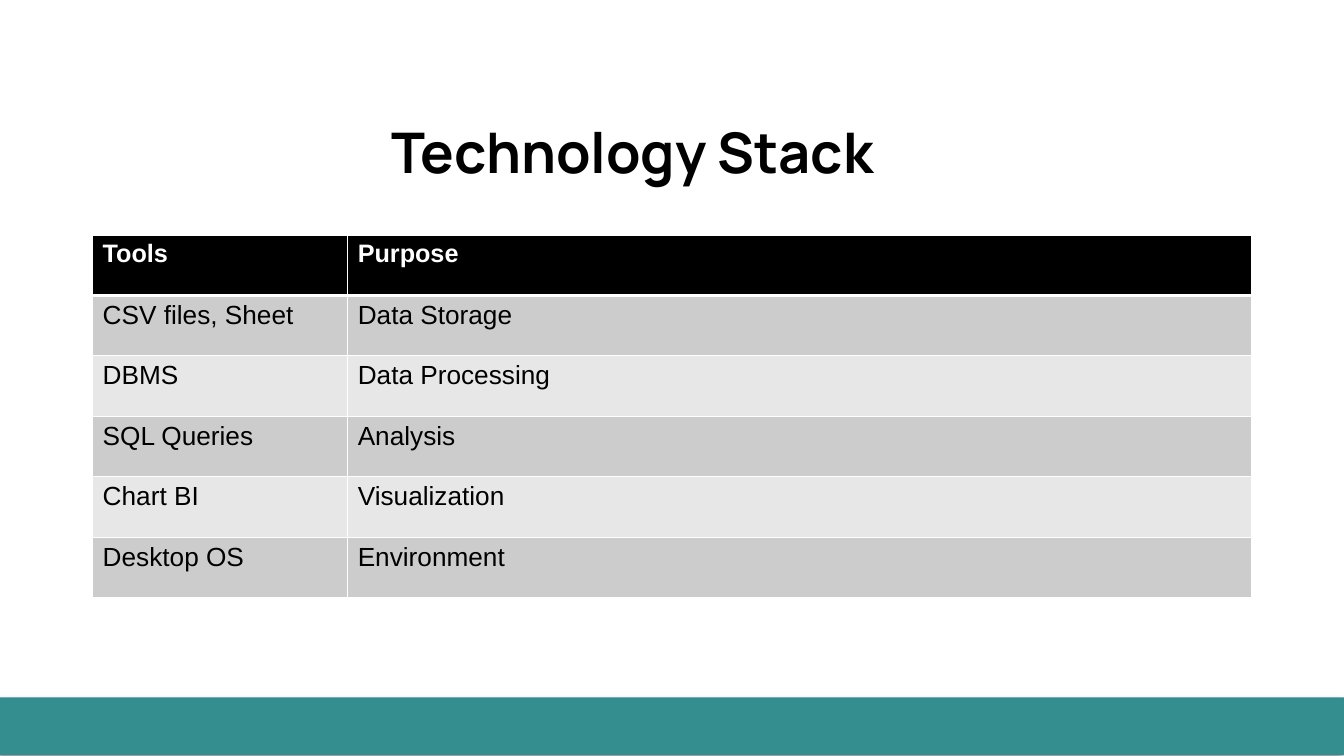
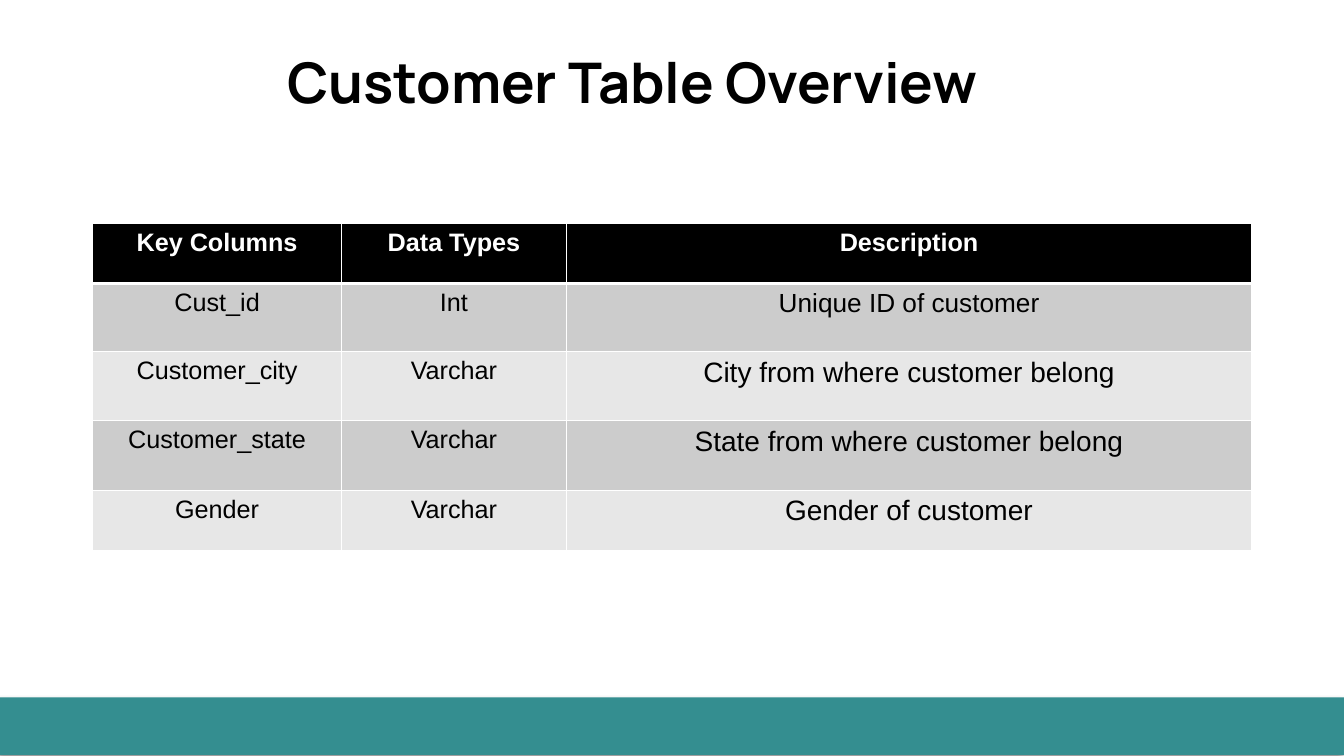
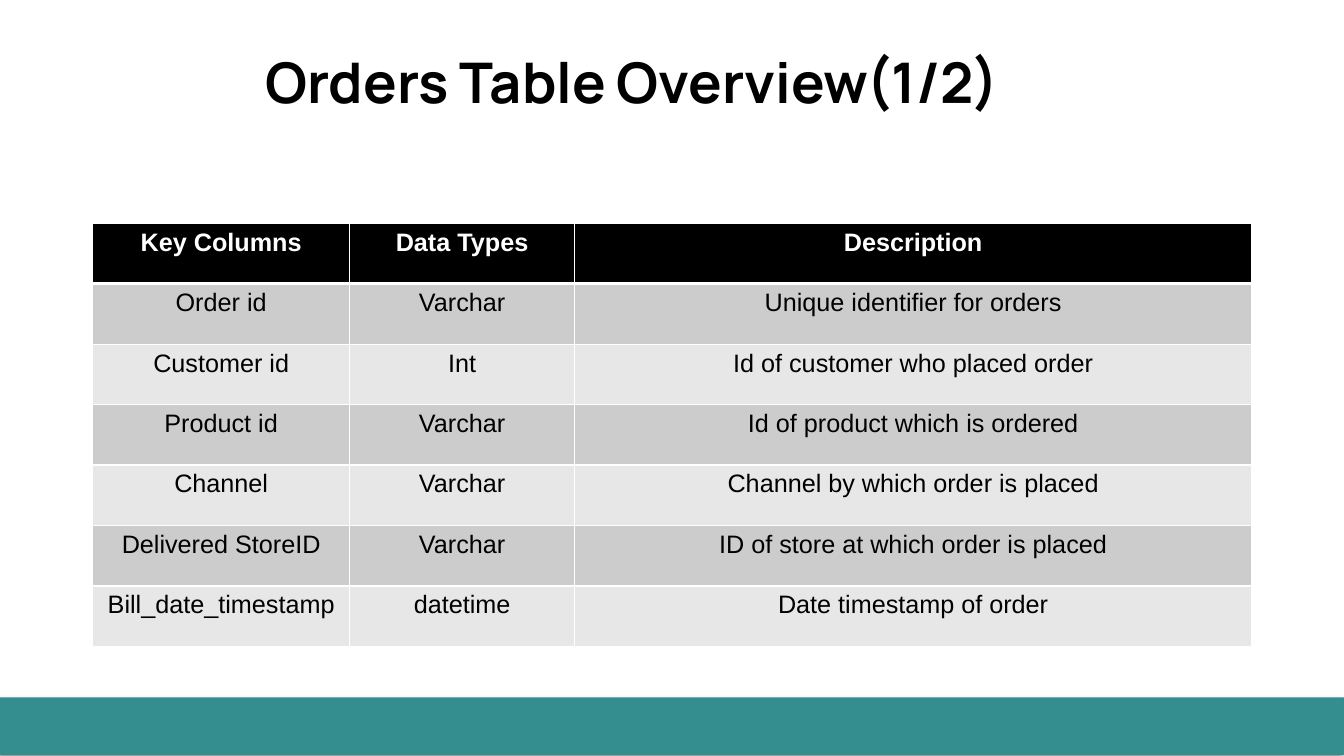
from lxml.etree import SubElement
from pptx import Presentation
from pptx.dml.color import RGBColor
from pptx.enum.shapes import MSO_SHAPE
from pptx.enum.text import MSO_ANCHOR, PP_ALIGN
from pptx.oxml.ns import qn
from pptx.util import Pt

TEAL = RGBColor(0x34, 0x8E, 0x90)
BLACK = RGBColor(0, 0, 0)
WHITE = RGBColor(255, 255, 255)
DARK = RGBColor(0xCC, 0xCC, 0xCC)
LIGHT = RGBColor(0xE7, 0xE7, 0xE7)
WIDE, HIGH = 960, 540
ROW = 43.2
LEFT, SPAN = 66.2, 828
HEADS = ("Key Columns", "Data Types", "Description")


def write(frame, text, font, size, color, bold, align):
    """Put one styled run in the first paragraph of a text frame."""
    para = frame.paragraphs[0]
    para.alignment = align
    run = para.add_run()
    run.text = text
    run.font.name = font
    run.font.size = Pt(size)
    run.font.bold = bold
    run.font.color.rgb = color


def add_band(slide, left, top, width, height):
    """Draw the footer band with its soft shadow."""
    band = slide.shapes.add_shape(
        MSO_SHAPE.RECTANGLE, Pt(left), Pt(top), Pt(width), Pt(height))
    band.fill.solid()
    band.fill.fore_color.rgb = TEAL
    band.line.fill.background()
    band.shadow.inherit = False
    glow = band.element.spPr.find(qn("a:effectLst"))
    shade = SubElement(glow, qn("a:outerShdw"), blurRad=str(Pt(4)),
                       dist=str(Pt(3)), dir="8100000", rotWithShape="0")
    tint = SubElement(shade, qn("a:srgbClr"), val=str(BLACK))
    SubElement(tint, qn("a:alpha"), val="40000")


def add_title(slide, text, left, top, width, height):
    """Write the title at the foot of its box."""
    box = slide.shapes.add_textbox(Pt(left), Pt(top), Pt(width), Pt(height))
    frame = box.text_frame
    frame.word_wrap = True
    frame.vertical_anchor = MSO_ANCHOR.BOTTOM
    frame.margin_left = frame.margin_right = Pt(7.2)
    frame.margin_top = frame.margin_bottom = Pt(7.2)
    write(frame, text, "Manrope", 40, BLACK, True, PP_ALIGN.CENTER)


def edge(cell, above, below):
    """Give a cell white borders, with the top and bottom widths given."""
    props = cell._tc.get_or_add_tcPr()
    for side, width in (("L", 1), ("R", 1), ("T", above), ("B", below)):
        line = SubElement(props, qn("a:ln" + side), w=str(Pt(width)))
        fill = SubElement(line, qn("a:solidFill"))
        SubElement(fill, qn("a:srgbClr"), val=str(WHITE))


def add_grid(slide, rows, left, top, width, cols, align, sizes, highs):
    """Build a banded table whose last column takes the remaining width."""
    shape = slide.shapes.add_table(len(rows), len(rows[0]), Pt(left), Pt(top),
                                   Pt(width), Pt(sum(highs)))
    table = shape.table
    table.horz_banding = False
    for col, part in zip(table.columns, (*cols, width - sum(cols))):
        col.width = Pt(part)
    for r, texts in enumerate(rows):
        table.rows[r].height = Pt(highs[r])
        head = r == 0
        back = BLACK if head else DARK if r % 2 else LIGHT
        for c, text in enumerate(texts):
            cell = table.cell(r, c)
            edge(cell, 3 if r == 1 else 1, 3 if head else 1)
            cell.fill.solid()
            cell.fill.fore_color.rgb = back
            write(cell.text_frame, text, "Arial", sizes[r][c],
                  WHITE if head else BLACK, head, align)


def add_page(deck, title, drop, top, rows, cols, align, sizes, highs):
    """Add a slide with a band, a title and a table."""
    slide = deck.slides.add_slide(deck.slide_layouts[6])
    add_band(slide, 0, 498.2, WIDE, 41.1)
    add_title(slide, title, 31.7, 0, 840, drop)
    add_grid(slide, rows, LEFT, top, SPAN, cols, align, sizes, highs)


def main():
    """Build the deck and save it."""
    deck = Presentation()
    deck.slide_width, deck.slide_height = Pt(WIDE), Pt(HIGH)
    tools = [
        ("Tools", "Purpose"),
        ("CSV files, Sheet", "Data Storage"),
        ("DBMS", "Data Processing"),
        ("SQL Queries", "Analysis"),
        ("Chart BI", "Visualization"),
        ("Desktop OS", "Environment"),
    ]
    buyers = [
        HEADS,
        ("Cust_id", "Int", "Unique ID of customer"),
        ("Customer_city", "Varchar", "City from where customer belong"),
        ("Customer_state", "Varchar", "State from where customer belong"),
        ("Gender", "Varchar", "Gender of customer"),
    ]
    orders = [
        HEADS,
        ("Order id", "Varchar", "Unique identifier for orders"),
        ("Customer id", "Int", "Id of customer who placed order"),
        ("Product id", "Varchar", "Id of product which is ordered"),
        ("Channel", "Varchar", "Channel by which order is placed"),
        ("Delivered StoreID", "Varchar",
         "ID of store at which order is placed"),
        ("Bill_date_timestamp", "datetime", "Date timestamp of order"),
    ]
    add_page(deck, "Technology Stack", 139, 167.8, tools, [182.2],
             PP_ALIGN.LEFT, [(18, 18)] + [(18.7, 18.7)] * 5, [ROW] * 6)
    add_page(deck, "Customer Table Overview", 89.3, 159.4, buyers,
             [177.8, 160.6], PP_ALIGN.CENTER,
             [(18, 18, last) for last in (18, 18.7, 20, 20, 20)],
             [ROW, 48.6, 49.4, 49.6, ROW])
    add_page(deck, "Orders Table Overview(1/2)", 89.3, 159.4, orders,
             [183.6, 160.6], PP_ALIGN.CENTER, [(18, 18, 18)] * 7, [ROW] * 7)
    deck.save("out.pptx")


if __name__ == "__main__":
    main()
